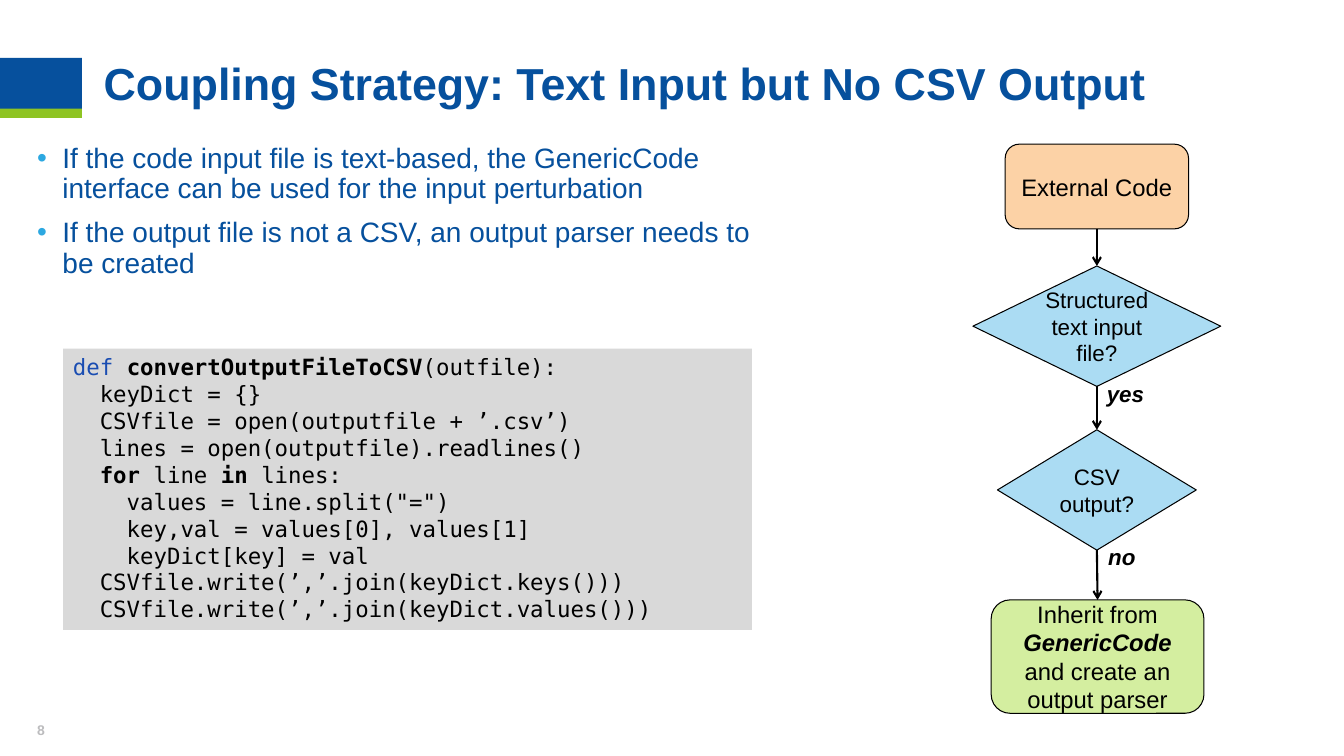
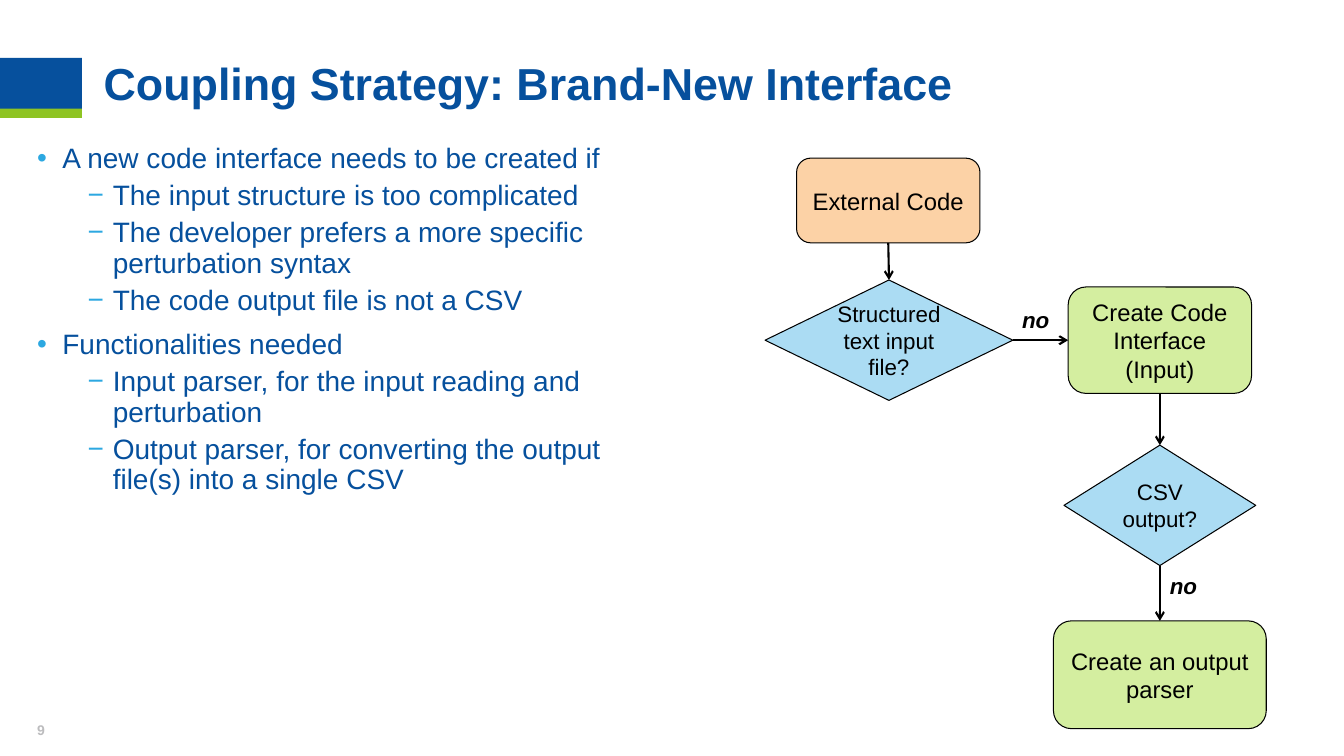
"""Build two slides on coupling strategies for external codes."""
from dataclasses import dataclass
from typing import NamedTuple, Optional

import pptx
import pptx.dml.color
import pptx.enum.shapes
import pptx.enum.text
import pptx.oxml.ns
import pptx.util
from lxml import etree

Pt = pptx.util.Pt
SHAPES = pptx.enum.shapes.MSO_SHAPE
ALIGN = pptx.enum.text.PP_ALIGN
ANCHOR = pptx.enum.text.MSO_ANCHOR

BLUE, GREEN, CYAN, GREY = "06509D", "8EC423", "2CA8E1", "BCBCBE"
BLACK, KEYWORD, CODE_FILL = "000000", "1A4DB2", "D9D9D9"
SANS, MONO = "Arial", "DejaVu Sans Mono"
TOP, LEFT, BOTTOM, RIGHT = range(4)
INSETS = (7.2, 3.6, 7.2, 3.6)


class Span(NamedTuple):
    """A stretch of text with one format."""
    text: str
    bold: bool = False
    italic: bool = False
    color: str = BLACK


class Bullet(NamedTuple):
    """A bulleted paragraph and its level."""
    text: str
    level: int = 0


class BulletStyle(NamedTuple):
    """The mark, left margin and space before of a bullet level."""
    mark: str
    margin: float
    before: float


BULLET_STYLES = (BulletStyle("•", 18, 10), BulletStyle("−", 54, 5))


class NodeStyle(NamedTuple):
    """The look of one type of flowchart node."""
    outline: pptx.enum.shapes.MSO_SHAPE
    fill: str
    size: float


START = NodeStyle(SHAPES.ROUNDED_RECTANGLE, "FCD2A6", 17)
DECISION = NodeStyle(SHAPES.FLOWCHART_DECISION, "ABDCF3", 16)
RESULT = NodeStyle(SHAPES.ROUNDED_RECTANGLE, "D4EEA0", 17)


@dataclass
class Node:
    """A flowchart node placed by its centre line and top."""
    style: NodeStyle
    center: float
    top: float
    width: float
    height: float
    spans: list[Span]


@dataclass
class Link:
    """An arrow between two nodes, given by index and side."""
    start: int
    end: int
    start_side: int = BOTTOM
    end_side: int = TOP


@dataclass
class Label:
    """An answer written beside an arrow."""
    text: str
    left: float
    top: float
    width: float = 34.5


@dataclass
class Content:
    """Everything that differs from one slide to the next."""
    number: int
    title: str
    body_width: float
    body_height: float
    bullets: list[Bullet]
    nodes: list[Node]
    links: list[Link]
    labels: list[Label]
    code: Optional[list[list[Span]]] = None


def rgb(value: str) -> pptx.dml.color.RGBColor:
    """Turn a hex string into a colour."""
    return pptx.dml.color.RGBColor.from_string(value)


def format_span(span, size: float, color: str, bold: bool = False,
                italic: bool = False, name: str = SANS) -> None:
    """Set the font of one run."""
    span.font.name, span.font.size = name, Pt(size)
    span.font.bold, span.font.italic = bold, italic
    span.font.color.rgb = rgb(color)


def fill_spans(para, spans: list[Span], size: float, name: str = SANS) -> None:
    """Write formatted spans into a paragraph."""
    for item in spans:
        span = para.add_run()
        span.text = item.text
        format_span(span, size, item.color, item.bold, item.italic, name)


def set_frame(frame, insets=INSETS, anchor=ANCHOR.TOP, wrap: bool = True) -> None:
    """Set the margins, anchor and wrapping of a text frame."""
    frame.auto_size = pptx.enum.text.MSO_AUTO_SIZE.NONE
    frame.word_wrap, frame.vertical_anchor = wrap, anchor
    (frame.margin_left, frame.margin_top,
     frame.margin_right, frame.margin_bottom) = map(Pt, insets)


def add_box(page, left: float, top: float, width: float, height: float):
    """Add a text box."""
    return page.shapes.add_textbox(Pt(left), Pt(top), Pt(width), Pt(height))


def add_shape(page, outline, left: float, top: float, width: float,
              height: float, fill: str):
    """Add a flat shape without a line or shadow."""
    shape = page.shapes.add_shape(outline, Pt(left), Pt(top), Pt(width), Pt(height))
    shape.shadow.inherit = False
    shape.fill.solid()
    shape.fill.fore_color.rgb = rgb(fill)
    shape.line.fill.background()
    return shape


def add_frame(page, title: str, number: int) -> None:
    """Add the bands, the title and the page number."""
    add_shape(page, SHAPES.RECTANGLE, 0, 41.4, 58.6, 36.4, BLUE)
    add_shape(page, SHAPES.RECTANGLE, 0, 77.6, 58.6, 6.6, GREEN)
    heading = page.shapes.title
    heading.left, heading.top = Pt(74), Pt(44)
    heading.width, heading.height = Pt(820), Pt(39)
    folio = add_box(page, 12, 511, 34.5, 29)
    set_frame(heading.text_frame, (0, 0, 7.2, 3.6), ANCHOR.MIDDLE)
    set_frame(folio.text_frame, (7.2, 3.6, 7.2, 12.2), ANCHOR.MIDDLE)
    for box, text, align, size, color in (
            (heading, title, ALIGN.LEFT, 32, BLUE),
            (folio, str(number), ALIGN.CENTER, 10, GREY)):
        box.text_frame.text = text
        para = box.text_frame.paragraphs[0]
        para.alignment = align
        format_span(para.runs[0], size, color, bold=True)
    heading.text_frame.paragraphs[0].line_spacing = 0.9


def add_bullet_mark(para, style: BulletStyle) -> None:
    """Give a paragraph a hanging coloured bullet."""
    props = para._p.get_or_add_pPr()
    props.set("marL", str(Pt(style.margin)))
    props.set("indent", str(Pt(-18)))
    qn = pptx.oxml.ns.qn
    color = etree.SubElement(props, qn("a:buClr"))
    etree.SubElement(color, qn("a:srgbClr"), val=CYAN)
    etree.SubElement(props, qn("a:buFont"), typeface=SANS)
    etree.SubElement(props, qn("a:buChar"), char=style.mark)


def add_bullets(page, bullets: list[Bullet], width: float, height: float) -> None:
    """Add the bulleted text on the left."""
    frame = add_box(page, 26.6, 103, width, height).text_frame
    set_frame(frame, (0, 0, 7.2, 3.6))
    frame.text = "\n".join(bullet.text for bullet in bullets)
    for index, (para, bullet) in enumerate(zip(frame.paragraphs, bullets)):
        style = BULLET_STYLES[bullet.level]
        para.level = bullet.level
        add_bullet_mark(para, style)
        para.line_spacing = 0.9
        para.space_before = Pt(style.before if index else 0)
        format_span(para.runs[0], 20, BLUE)


def add_code(page, lines: list[list[Span]]) -> None:
    """Add the code listing on its grey panel."""
    box = add_box(page, 45, 249, 492, 201)
    box.fill.solid()
    box.fill.fore_color.rgb = rgb(CODE_FILL)
    frame = box.text_frame
    set_frame(frame)
    for index, line in enumerate(lines):
        para = frame.add_paragraph() if index else frame.paragraphs[0]
        fill_spans(para, line, 16, MONO)


def add_node(page, node: Node):
    """Add one flowchart node."""
    shape = add_shape(page, node.style.outline, node.center - node.width / 2,
                      node.top, node.width, node.height, node.style.fill)
    shape.line.color.rgb = rgb(BLACK)
    shape.line.width = Pt(0.75)
    set_frame(shape.text_frame, anchor=ANCHOR.MIDDLE)
    para = shape.text_frame.paragraphs[0]
    para.alignment = ALIGN.CENTER
    fill_spans(para, node.spans, node.style.size)
    return shape


def add_link(page, shapes: list, link: Link) -> None:
    """Join two nodes with an arrow."""
    arrow = page.shapes.add_connector(
        pptx.enum.shapes.MSO_CONNECTOR.STRAIGHT, Pt(0), Pt(0), Pt(0), Pt(0))
    arrow.begin_connect(shapes[link.start], link.start_side)
    arrow.end_connect(shapes[link.end], link.end_side)
    arrow.line.color.rgb = rgb(BLACK)
    arrow.line.width = Pt(1.5)
    qn = pptx.oxml.ns.qn
    etree.SubElement(arrow.line._get_or_add_ln(), qn("a:tailEnd"), type="arrow")
    etree.SubElement(arrow._element.spPr, qn("a:effectLst"))


def add_label(page, label: Label) -> None:
    """Add the answer beside an arrow."""
    frame = add_box(page, label.left, label.top, label.width, 26.6).text_frame
    set_frame(frame, wrap=False)
    frame.text = label.text
    format_span(frame.paragraphs[0].runs[0], 16, BLACK, True, True)


def add_page(deck, content: Content) -> None:
    """Add one whole slide."""
    page = deck.slides.add_slide(deck.slide_layouts[5])
    add_frame(page, content.title, content.number)
    add_bullets(page, content.bullets, content.body_width, content.body_height)
    shapes = [add_node(page, node) for node in content.nodes]
    for link in content.links:
        add_link(page, shapes, link)
    for label in content.labels:
        add_label(page, label)
    if content.code:
        add_code(page, content.code)


CODE = [
    [Span("def ", color=KEYWORD), Span("convertOutputFileToCSV", True), Span("(outfile):")],
    [Span("  keyDict = {}")],
    [Span("  CSVfile = open(outputfile + ’.csv’)")],
    [Span("  lines = open(outputfile).readlines()")],
    [Span("  for ", True), Span("line "), Span("in ", True), Span("lines:")],
    [Span('    values = line.split("=")')],
    [Span("    key,val = values[0], values[1]")],
    [Span("    keyDict[key] = val")],
    [Span("  CSVfile.write(’,’.join(keyDict.keys()))")],
    [Span("  CSVfile.write(’,’.join(keyDict.values()))")],
]
EXTERNAL = [Span("External Code")]
STRUCTURED = [Span("Structured text input file?")]
CSV_OUTPUT = [Span("CSV output?")]

CONTENTS = [
    Content(
        8, "Coupling Strategy: Text Input but No CSV Output", 517, 150,
        [Bullet("If the code input file is text-based, the GenericCode interface "
                "can be used for the input perturbation"),
         Bullet("If the output file is not a CSV, an output parser needs to be created")],
        [Node(START, 783.5, 103, 131, 60.5, EXTERNAL),
         Node(DECISION, 783.5, 190, 177, 86, STRUCTURED),
         Node(DECISION, 783.5, 307, 142, 86, CSV_OUTPUT),
         Node(RESULT, 784, 428.5, 152, 81, [
             Span("Inherit from "), Span("GenericCode", True, True),
             Span(" and create an output parser")])],
        [Link(0, 1), Link(1, 2), Link(2, 3)],
        [Label("yes", 783.5, 268, 42), Label("no", 784.5, 384.5)], CODE),
    Content(
        9, "Coupling Strategy: Brand-New Interface", 443.5, 376.5,
        [Bullet("A new code interface needs to be created if"),
         Bullet("The input structure is too complicated", 1),
         Bullet("The developer prefers a more specific perturbation syntax", 1),
         Bullet("The code output file is not a CSV", 1),
         Bullet("Functionalities needed"),
         Bullet("Input parser, for the input reading and perturbation", 1),
         Bullet("Output parser, for converting the output file(s) into a single CSV", 1)],
        [Node(START, 634.5, 113, 131, 60.5, EXTERNAL),
         Node(DECISION, 635, 200, 177, 86, STRUCTURED),
         Node(RESULT, 828.5, 205, 131, 76, [Span("Create Code Interface (Input)")]),
         Node(DECISION, 828.5, 318, 137, 86, CSV_OUTPUT),
         Node(RESULT, 828.5, 443.5, 152, 77, [Span("Create an output parser")])],
        [Link(0, 1), Link(1, 2, RIGHT, LEFT), Link(2, 3), Link(3, 4)],
        [Label("no", 723, 215), Label("no", 828.5, 405.5)]),
]


def main() -> None:
    """Build and save the deck."""
    deck = pptx.Presentation()
    deck.slide_width, deck.slide_height = Pt(960), Pt(540)
    for content in CONTENTS:
        add_page(deck, content)
    deck.save("out.pptx")


if __name__ == "__main__":
    main()
